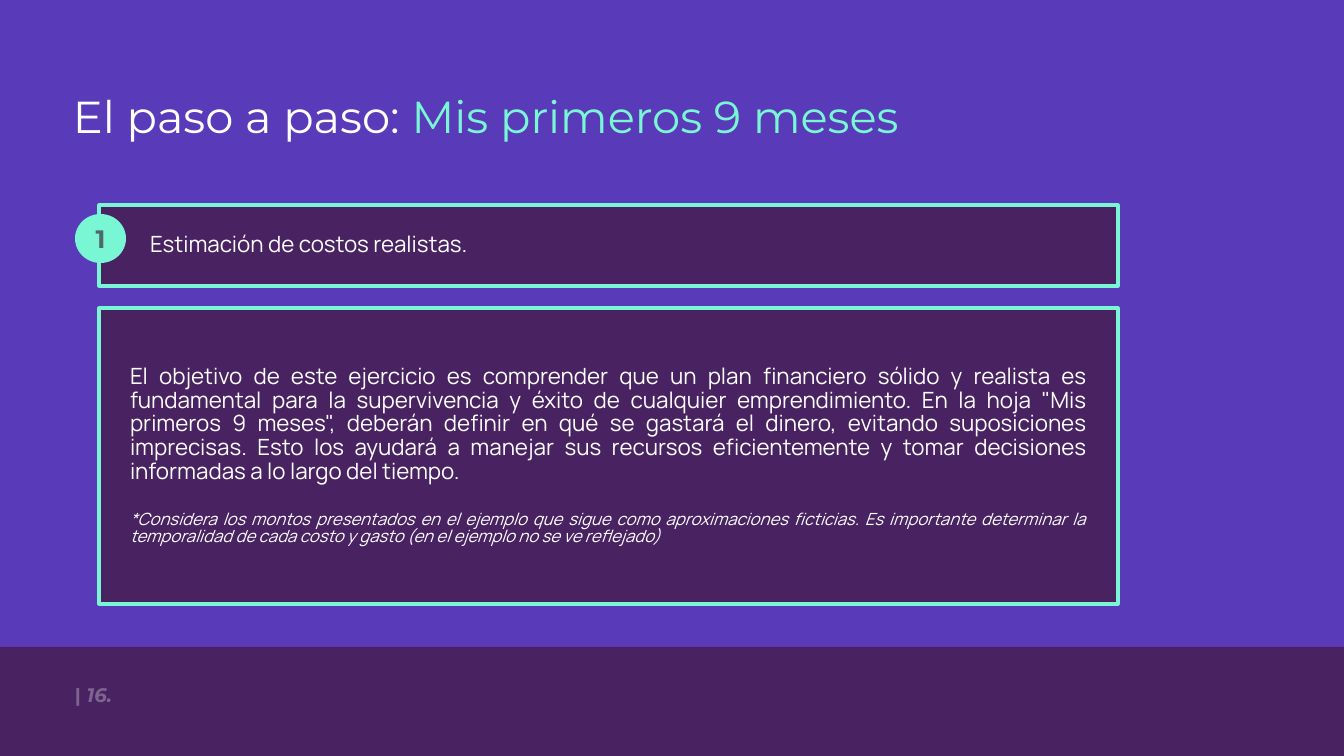
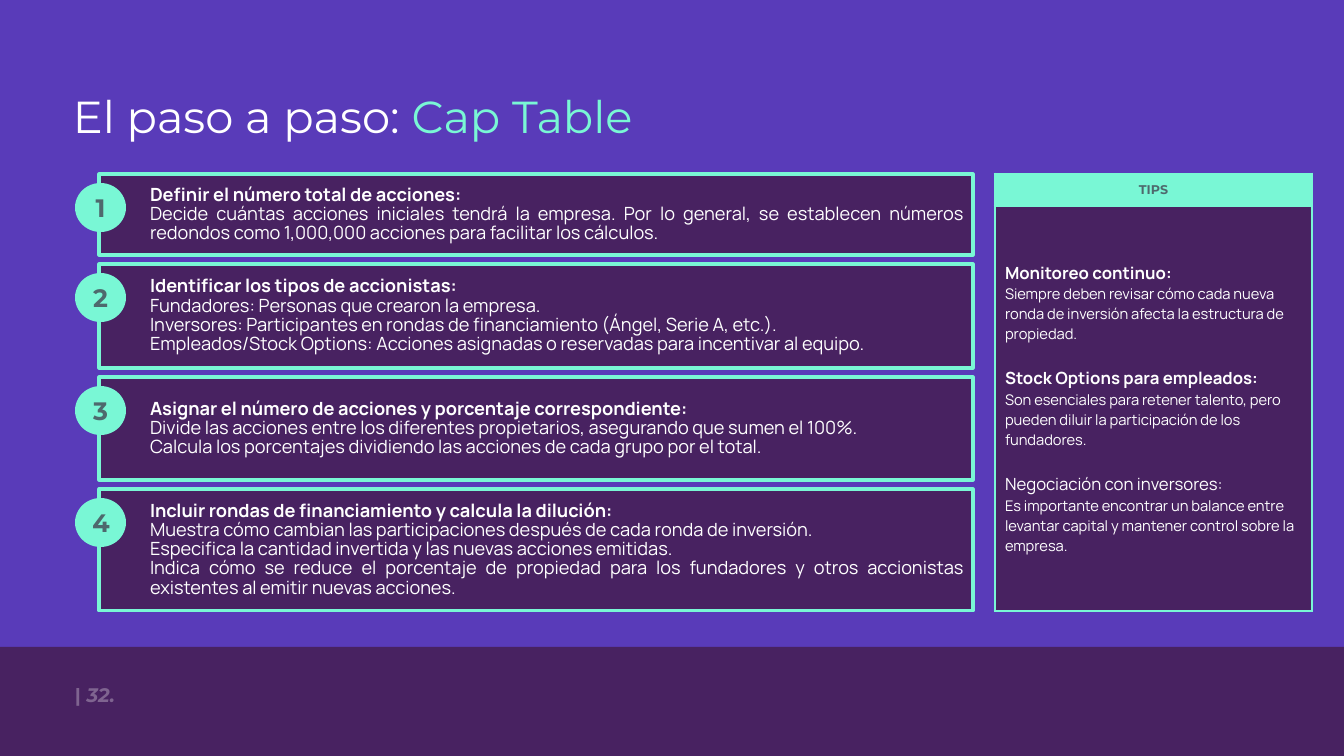
from dataclasses import dataclass
from typing import Any, NamedTuple

from lxml.etree import SubElement
from pptx import Presentation
from pptx.dml.color import RGBColor as Rgb
from pptx.enum.shapes import MSO_SHAPE as Preset
from pptx.enum.text import MSO_ANCHOR as Anchor, PP_ALIGN as Align
from pptx.oxml import parse_xml
from pptx.oxml.ns import nsdecls, qn
from pptx.util import Emu, Pt

EMU_PER_PX = 914400 / 100.8


def px(length: int) -> Emu:
    return Emu(round(length * EMU_PER_PX))


@dataclass(frozen=True)
class Theme:
    purple: str = "593BB9"
    plum: str = "482261"
    mint: str = "79F7D5"
    slate: str = "4E696D"
    white: str = "FFFFFF"
    heading_font: str = "Montserrat"
    body_font: str = "Manrope"
    title: float = 32
    badge: float = 18
    lead: float = 16
    footer: float = 14
    step: float = 13
    note: float = 12
    tip: float = 10.5
    tips_head: float = 9
    border: float = 2.25
    footer_alpha: int = 30
    title_spacing: float = 0.9
    panel_spacing: float = 0.88


THEME = Theme()


class Box(NamedTuple):
    left: int
    top: int
    width: int
    height: int


class Insets(NamedTuple):
    left: int = 10
    top: int = 5
    right: int = 10
    bottom: int = 5


class Run(NamedTuple):
    text: str
    size: float
    color: str = THEME.white
    font: str = THEME.body_font
    bold: bool = False
    italic: bool = False


class Para(NamedTuple):
    runs: list[Run]
    align: Any = Align.LEFT
    before: float = 0
    spacing: float = 1.0


class Step(NamedTuple):
    height: int
    heading: str
    details: list[str]


class Tip(NamedTuple):
    heading: str
    advice: str
    bold: bool


SLIDE = Box(0, 0, 1344, 756)
BAND = Box(0, 647, 1344, 109)
PAGE_NUMBER = Box(65, 675, 302, 40)
TITLE = Box(73, 89, 1199, 60)
PANEL_LEFT = 99
STEP_INSETS = Insets(51, 0, 10, 0)
GOAL_INSETS = Insets(31, 0, 31, 0)
STEPS_TOP, STEP_WIDTH, STEP_GAP = 174, 874, 9
TIPS = Box(995, 174, 317, 437)
TIPS_HEAD_HEIGHT = 32

GOAL = (
    "El objetivo de este ejercicio es comprender que un plan financiero sólido y realista es "
    "fundamental para la supervivencia y éxito de cualquier emprendimiento. En la hoja "
    '"Mis primeros 9 meses", deberán definir en qué se gastará el dinero, evitando '
    "suposiciones imprecisas. Esto los ayudará a manejar sus recursos eficientemente y tomar "
    "decisiones informadas a lo largo del tiempo."
)
CAVEAT = (
    "*Considera los montos presentados en el ejemplo que sigue como aproximaciones ficticias. "
    "Es importante determinar la temporalidad de cada costo y gasto (en el ejemplo no se ve "
    "reflejado)"
)
STEPS = [
    Step(81, "Definir el número total de acciones:", [
        "Decide cuántas acciones iniciales tendrá la empresa. Por lo general, se establecen "
        "números redondos como 1,000,000 acciones para facilitar los cálculos.",
    ]),
    Step(104, "Identificar los tipos de accionistas:", [
        "Fundadores: Personas que crearon la empresa.",
        "Inversores: Participantes en rondas de financiamiento (Ángel, Serie A, etc.).",
        "Empleados/Stock Options: Acciones asignadas o reservadas para incentivar al equipo.",
    ]),
    Step(103, "Asignar el número de acciones y porcentaje correspondiente:", [
        "Divide las acciones entre los diferentes propietarios, asegurando que sumen el 100%.",
        "Calcula los porcentajes dividiendo las acciones de cada grupo por el total.",
    ]),
    Step(122, "Incluir rondas de financiamiento y calcula la dilución:", [
        "Muestra cómo cambian las participaciones después de cada ronda de inversión.",
        "Especifica la cantidad invertida y las nuevas acciones emitidas.",
        "Indica cómo se reduce el porcentaje de propiedad para los fundadores y otros "
        "accionistas existentes al emitir nuevas acciones.",
    ]),
]
ADVICE = [
    Tip("Monitoreo continuo:",
        "Siempre deben revisar cómo cada nueva ronda de inversión afecta la estructura de "
        "propiedad.", True),
    Tip("Stock Options para empleados:",
        "Son esenciales para retener talento, pero pueden diluir la participación de los "
        "fundadores.", True),
    Tip("Negociación con inversores:",
        "Es importante encontrar un balance entre levantar capital y mantener control sobre la "
        "empresa.", False),
]


def apply(target: Any, values: dict[str, Any]) -> None:
    for name, value in values.items():
        setattr(target, name, value)


def write(frame: Any, paras: list[Para]) -> None:
    for index, para in enumerate(paras):
        line = frame.add_paragraph() if index else frame.paragraphs[0]
        apply(line, {"alignment": para.align, "line_spacing": para.spacing,
                     "space_before": Pt(para.before), "space_after": Pt(0)})
        for run in para.runs:
            piece = line.add_run()
            piece.text = run.text
            apply(piece.font, {"size": Pt(run.size), "name": run.font,
                               "bold": run.bold, "italic": run.italic})
            piece.font.color.rgb = Rgb.from_string(run.color)


def set_frame(frame: Any, insets: Insets) -> None:
    apply(frame, {"word_wrap": True, "vertical_anchor": Anchor.MIDDLE,
                  "margin_left": px(insets.left), "margin_top": px(insets.top),
                  "margin_right": px(insets.right), "margin_bottom": px(insets.bottom)})


def add_text(slide: Any, box: Box, insets: Insets, para: Para) -> Any:
    label = slide.shapes.add_textbox(*map(px, box))
    set_frame(label.text_frame, insets)
    write(label.text_frame, [para])
    return label


def add_block(slide: Any, preset: Any, box: Box, fill: str, outline: str | None = None,
              insets: Insets = Insets(), paras: list[Para] | None = None) -> None:
    block = slide.shapes.add_shape(preset, *map(px, box))
    block.shadow.inherit = False
    block.fill.solid()
    block.fill.fore_color.rgb = Rgb.from_string(fill)
    if outline:
        block.line.color.rgb = Rgb.from_string(outline)
        block.line.width = Pt(THEME.border)
    else:
        block.line.fill.background()
    set_frame(block.text_frame, insets)
    write(block.text_frame, paras or [])


def add_panel(slide: Any, box: Box, insets: Insets, paras: list[Para]) -> None:
    add_block(slide, Preset.RECTANGLE, box, THEME.plum, THEME.mint, insets, paras)


def add_step(slide: Any, number: int, box: Box, paras: list[Para]) -> None:
    """Panel with a numbered badge over its left edge."""
    add_panel(slide, box, STEP_INSETS, paras)
    numeral = Run(str(number), THEME.badge, THEME.slate, THEME.heading_font, bold=True)
    add_block(slide, Preset.OVAL, Box(box.left - 24, box.top + 9, 51, 49), THEME.mint,
              paras=[Para([numeral], Align.CENTER)])


def add_base(deck: Any, topic: str, page: int) -> Any:
    """Blank slide with footer band, page number and two-colour title."""
    slide = deck.slides.add_slide(deck.slide_layouts[6])
    add_block(slide, Preset.RECTANGLE, BAND, THEME.plum)
    page_number = add_text(slide, PAGE_NUMBER, Insets(), Para([
        Run("| ", THEME.footer, font=THEME.heading_font, bold=True),
        Run(f"{page}.", THEME.footer, font=THEME.heading_font, bold=True, italic=True),
    ]))
    for color in page_number.element.iter(qn("a:srgbClr")):
        SubElement(color, qn("a:alpha"), val=str(THEME.footer_alpha * 1000))
    add_text(slide, TITLE, Insets(left=0), Para([
        Run("El paso a paso: ", THEME.title, font=THEME.heading_font),
        Run(topic, THEME.title, THEME.mint, THEME.heading_font),
    ], spacing=THEME.title_spacing))
    return slide


def format_cell(cell: Any, fill: str, paras: list[Para]) -> None:
    cell.vertical_anchor = Anchor.MIDDLE
    cell.fill.solid()
    cell.fill.fore_color.rgb = Rgb.from_string(fill)
    write(cell.text_frame, paras)
    properties = cell._tc.get_or_add_tcPr()
    for index, side in enumerate(("lnL", "lnR", "lnT", "lnB")):
        properties.insert(index, parse_xml(
            f'<a:{side} {nsdecls("a")} w="{Pt(THEME.border)}"><a:solidFill>'
            f'<a:srgbClr val="{THEME.mint}"/></a:solidFill></a:{side}>'))


def add_tips(slide: Any) -> None:
    tips = slide.shapes.add_table(2, 1, *map(px, TIPS)).table
    apply(tips, {"first_row": False, "horz_banding": False})
    tips.rows[0].height = px(TIPS_HEAD_HEIGHT)
    tips.rows[1].height = px(TIPS.height - TIPS_HEAD_HEIGHT)
    head = Run("TIPS", THEME.tips_head, THEME.slate, THEME.heading_font, bold=True)
    format_cell(tips.cell(0, 0), THEME.mint, [Para([head], Align.CENTER)])
    paras = []
    for index, tip in enumerate(ADVICE):
        paras += [Para([Run(tip.heading, THEME.note, bold=tip.bold)],
                       before=16.4 if index else 0),
                  Para([Run(tip.advice, THEME.tip)])]
    format_cell(tips.cell(1, 0), THEME.plum, paras)


def build_first_months(deck: Any) -> None:
    slide = add_base(deck, "Mis primeros 9 meses", 16)
    tight = THEME.panel_spacing
    add_step(slide, 1, Box(PANEL_LEFT, 205, 1019, 81), [
        Para([Run("Estimación de costos realistas.", THEME.lead)], spacing=tight)])
    add_panel(slide, Box(PANEL_LEFT, 308, 1019, 296), GOAL_INSETS, [
        Para([Run(GOAL, THEME.lead)], Align.JUSTIFY, spacing=tight),
        Para([Run(CAVEAT, THEME.note, italic=True)], Align.JUSTIFY, 19.2, tight),
    ])


def build_cap_table(deck: Any) -> None:
    slide = add_base(deck, "Cap Table", 32)
    top = STEPS_TOP
    for number, step in enumerate(STEPS, 1):
        runs = [Run(step.heading, THEME.step, bold=True)]
        runs += [Run(detail, THEME.step) for detail in step.details]
        add_step(slide, number, Box(PANEL_LEFT, top, STEP_WIDTH, step.height), [
            Para([run], Align.JUSTIFY, spacing=THEME.panel_spacing) for run in runs])
        top += step.height + STEP_GAP
    add_tips(slide)


def main() -> None:
    deck = Presentation()
    apply(deck, {"slide_width": px(SLIDE.width), "slide_height": px(SLIDE.height)})
    # Shared background
    backdrop = deck.slide_master.background.fill
    backdrop.solid()
    backdrop.fore_color.rgb = Rgb.from_string(THEME.purple)
    # Slides
    build_first_months(deck)
    build_cap_table(deck)
    deck.save("out.pptx")


if __name__ == "__main__":
    main()
